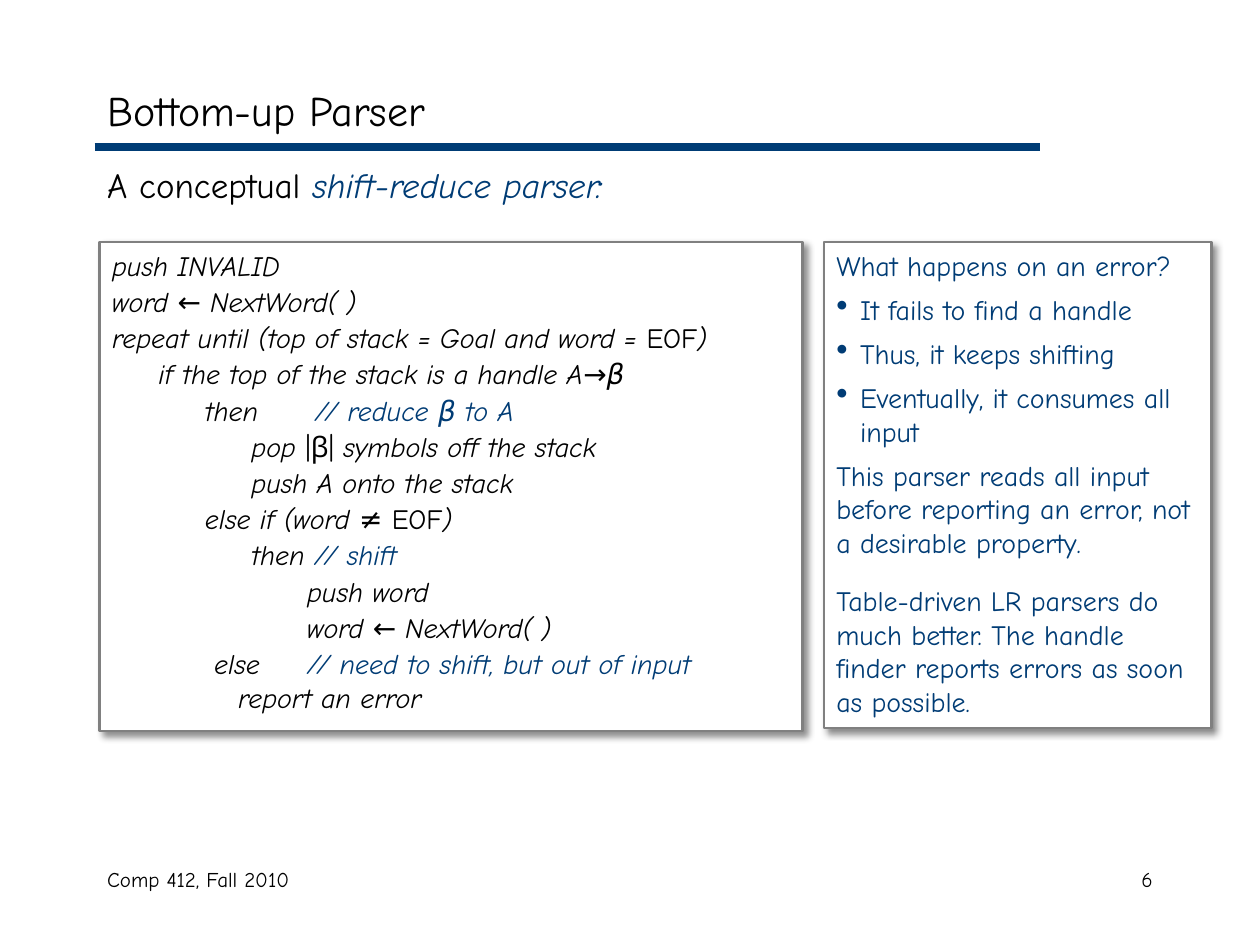
"""Build the slide on a conceptual bottom-up shift-reduce parser."""
from dataclasses import dataclass

from lxml import etree
from pptx import Presentation
from pptx.dml.color import RGBColor
from pptx.enum.shapes import MSO_CONNECTOR, MSO_SHAPE
from pptx.enum.text import MSO_ANCHOR, MSO_AUTO_SIZE, PP_ALIGN
from pptx.oxml.ns import qn
from pptx.util import Cm, Pt

RECTANGLE = MSO_SHAPE.RECTANGLE
STRAIGHT = MSO_CONNECTOR.STRAIGHT
TOP, MIDDLE = MSO_ANCHOR.TOP, MSO_ANCHOR.MIDDLE
LEFT, RIGHT = PP_ALIGN.LEFT, PP_ALIGN.RIGHT
NO_AUTOFIT = MSO_AUTO_SIZE.NONE


@dataclass(frozen=True)
class Theme:
    """Font, colours and type sizes of the slide."""
    font: str = "Comic Neue"
    ink: str = "000000"
    accent: str = "003C75"
    paper: str = "FFFFFF"
    border: str = "808080"
    title: int = 24
    lead: int = 20
    body: int = 16
    footer: int = 12


THEME = Theme()
UPRIGHT = {"italic": False}
COMMENT = {"color": THEME.accent}

ALGORITHM = [
    ["push INVALID"],
    ["word ← NextWord( )"],
    ["repeat until (top of stack = Goal and word = ", ("EOF", UPRIGHT), ")"],
    ["     if the top of the stack is a handle A→β"],
    ["          then\t", ("// reduce β to A", COMMENT)],
    ["               pop ", ("|β| ", UPRIGHT), "symbols off the stack"],
    ["               push A onto the stack"],
    ["          else if (word ≠ ", ("EOF", UPRIGHT), ")"],
    ["               then ", ("// shift", COMMENT)],
    ["                     push word"],
    ["                     word ← NextWord( )"],
    ["           else\t", ("// need to shift, but out of input", COMMENT)],
    ["\treport an error"],
]
TAB_STOPS = {4: 4.09, 11: 3.93, 12: 2.54}

ERROR_REMARKS = [
    ("What happens on an error?", 0, False),
    ("It fails to find a handle", 6, True),
    ("Thus, it keeps shifting", 6, True),
    ("Eventually, it consumes all input", 6, True),
    ("This parser reads all input before reporting an error, "
     "not a desirable property.", 6, False),
    ("Table-driven LR parsers do much better. The handle finder "
     "reports errors as soon as possible.", 14, False),
]


def add_xml(parent, tag, **attributes):
    """Append a drawing element and return it."""
    return etree.SubElement(parent, qn(tag), attributes)


def write(paragraph, text, size=THEME.body, color=THEME.ink, italic=False):
    """Add a formatted run of text to a paragraph."""
    run = paragraph.add_run()
    run.text = text
    run.font.name = THEME.font
    run.font.size = Pt(size)
    run.font.italic = italic
    run.font.color.rgb = RGBColor.from_string(color)


class SlideBuilder:
    """Hold the theme and the current slide, and add elements to it."""

    def __init__(self, slide, theme):
        """Keep the slide and its theme."""
        self.slide = slide
        self.theme = theme

    def title(self, text, left, top, width, height):
        """Move and format the title placeholder."""
        heading = self.slide.shapes.title
        heading.left, heading.top = Cm(left), Cm(top)
        heading.width, heading.height = Cm(width), Cm(height)
        frame = heading.text_frame
        frame.auto_size = NO_AUTOFIT
        frame.vertical_anchor = MIDDLE
        frame.paragraphs[0].alignment = LEFT
        write(frame.paragraphs[0], text, size=self.theme.title)

    def rule(self, left, top, right):
        """Draw the horizontal rule under the title."""
        line = self.slide.shapes.add_connector(
            STRAIGHT, Cm(left), Cm(top), Cm(right), Cm(top))
        line.line.color.rgb = RGBColor.from_string(self.theme.accent)
        line.line.width = Pt(4.5)
        add_xml(line._element.spPr, "a:effectLst")

    def label(self, left, top, width, height, align=LEFT):
        """Add a text box and return its paragraph."""
        box = self.slide.shapes.add_textbox(
            Cm(left), Cm(top), Cm(width), Cm(height))
        box.text_frame.word_wrap = True
        paragraph = box.text_frame.paragraphs[0]
        paragraph.alignment = align
        return paragraph

    def panel(self, left, top, width, height, count):
        """Add a shadowed panel and return its left-aligned paragraphs."""
        card = self.slide.shapes.add_shape(
            RECTANGLE, Cm(left), Cm(top), Cm(width), Cm(height))
        card.fill.solid()
        card.fill.fore_color.rgb = RGBColor.from_string(self.theme.paper)
        card.line.color.rgb = RGBColor.from_string(self.theme.border)
        card.line.width = Pt(1.5)
        effects = add_xml(card._element.spPr, "a:effectLst")
        shadow = add_xml(effects, "a:outerShdw", blurRad=str(Pt(4)),
                         dist=str(Pt(3)), dir="2700000", algn="tl",
                         rotWithShape="0")
        tone = add_xml(shadow, "a:srgbClr", val=self.theme.ink)
        add_xml(tone, "a:alpha", val="43000")
        frame = card.text_frame
        frame.word_wrap = True
        frame.vertical_anchor = TOP
        for _ in range(count - 1):
            frame.add_paragraph()
        for paragraph in frame.paragraphs:
            paragraph.alignment = LEFT
        return frame.paragraphs

    def code(self, lines, stops, **place):
        """Add a panel of italic pseudocode with tab stops by line."""
        paragraphs = self.panel(count=len(lines), **place)
        for index, (paragraph, parts) in enumerate(zip(paragraphs, lines)):
            if index in stops:
                tabs = add_xml(paragraph._p.get_or_add_pPr(), "a:tabLst")
                add_xml(tabs, "a:tab", pos=str(Cm(stops[index])), algn="l")
            if 0 < index < len(lines) - 1:
                paragraph.space_before = Pt(1.5)
            for part in parts:
                text, style = (part, {}) if isinstance(part, str) else part
                write(paragraph, text, **{"italic": True, **style})

    def remarks(self, entries, **place):
        """Add a panel of remarks, some of them bulleted."""
        paragraphs = self.panel(count=len(entries), **place)
        for paragraph, (text, gap, bulleted) in zip(paragraphs, entries):
            if bulleted:
                self.bullet(paragraph)
            if gap:
                paragraph.space_before = Pt(gap)
            write(paragraph, text, color=self.theme.accent)

    def bullet(self, paragraph):
        """Give a paragraph a coloured hanging bullet."""
        properties = paragraph._p.get_or_add_pPr()
        hang = Cm(0.48)
        properties.set("marL", str(hang))
        properties.set("indent", str(-hang))
        color = add_xml(properties, "a:buClr")
        add_xml(color, "a:srgbClr", val=self.theme.accent)
        add_xml(properties, "a:buSzPct", val="120000")
        add_xml(properties, "a:buChar", char="•")


def main():
    """Build and save the slide."""
    deck = Presentation()
    deck.slide_width, deck.slide_height = Cm(25.4), Cm(19.05)
    page = SlideBuilder(deck.slides.add_slide(deck.slide_layouts[5]), THEME)

    margin, panel_top = 1.91, 4.88
    page.rule(margin, 2.97, 20.96)
    page.title("Bottom-up Parser", margin, 1.47, 21.59, 1.47)

    lead = page.label(margin, 3.18, 21.59, 1.2)
    write(lead, "A conceptual ", size=THEME.lead)
    write(lead, "shift-reduce parser:", size=THEME.lead,
          color=THEME.accent, italic=True)

    page.code(ALGORITHM, TAB_STOPS,
              left=2.01, top=panel_top, width=14.17, height=9.86)
    page.remarks(ERROR_REMARKS,
                 left=16.61, top=panel_top, width=7.82, height=9.8)

    course = page.label(margin, 17.35, 8.05, 1.27)
    write(course, "Comp 412, Fall 2010", size=THEME.footer)
    number = page.label(18.21, 17.35, 5.28, 1.27, align=RIGHT)
    write(number, "6", size=THEME.footer)
    deck.save("out.pptx")


if __name__ == "__main__":
    main()
